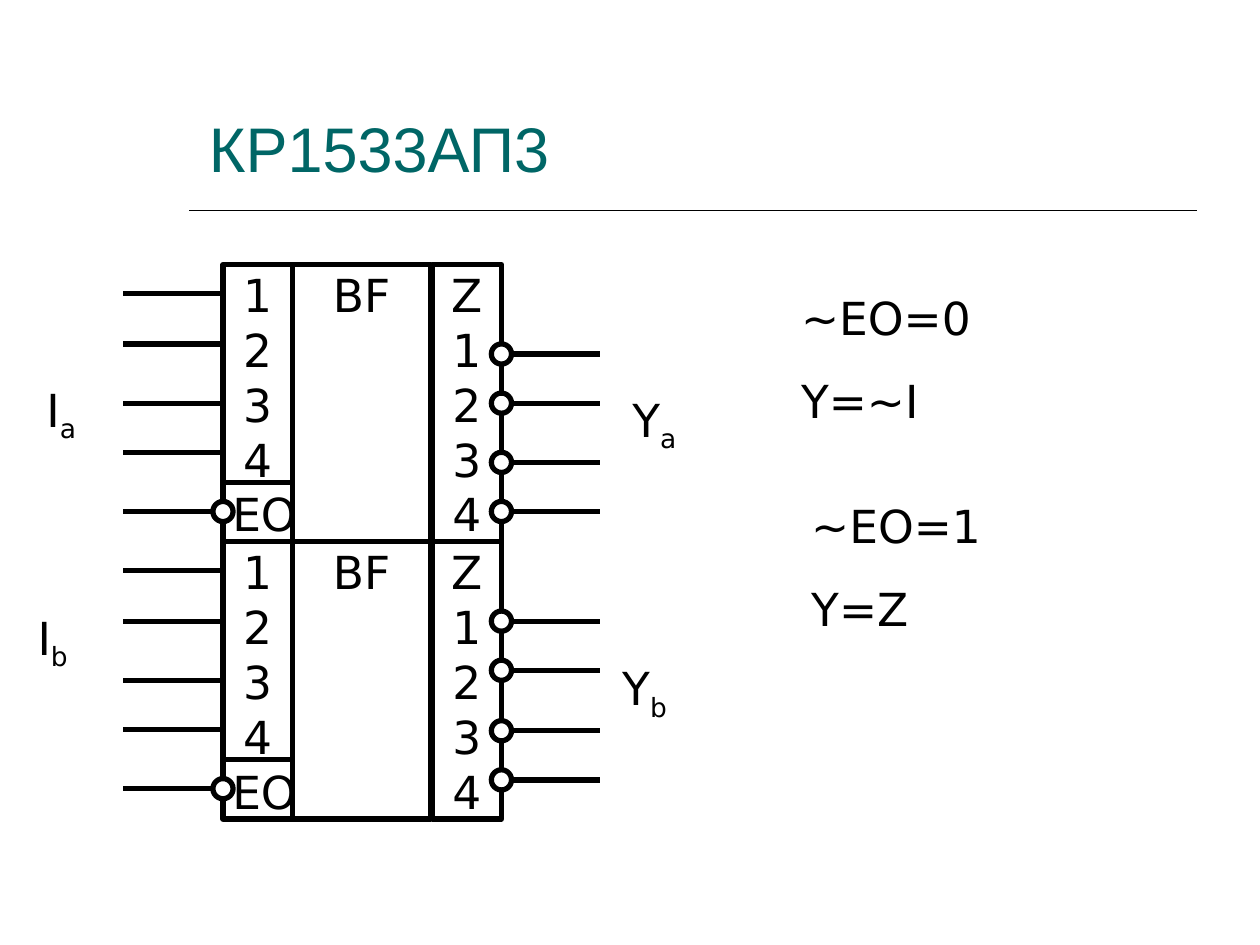
from lxml.etree import SubElement
from pptx import Presentation
from pptx.dml.color import RGBColor
from pptx.enum.shapes import MSO_CONNECTOR, MSO_SHAPE
from pptx.enum.text import MSO_ANCHOR, PP_ALIGN
from pptx.oxml.ns import qn
from pptx.util import Inches, Pt

COLORS = {"title": "006666", "ink": "000000", "paper": "FFFFFF"}
BODY_FONT = "DejaVu Sans"
LINE_HEIGHT = Pt(31.3)

# Chip geometry in inches
CHIP_LEFT, CHIP_RIGHT = 1.77, 3.98
SIDE_WIDTH, MIDDLE_WIDTH = 0.55, 1.1
HALF_HEIGHT = 2.2
WIRE_LEFT, WIRE_RIGHT = 0.98, 4.76
BUBBLE = 0.16
INPUT_OFFSETS = [0.23, 0.63, 1.1, 1.49]
ENABLE_OFFSET = 1.96
ENABLE_DIVIDER = 1.73

# Top of each half and the heights of its output pins
HALVES = [
    (2.1, [2.81, 3.2, 3.67, 4.06]),
    (4.3, [4.93, 5.32, 5.8, 6.19]),
]


def color(name):
    return RGBColor.from_string(COLORS[name])


def style_run(run, size=26, font=BODY_FONT, ink="ink"):
    run.font.size = Pt(size)
    run.font.name = font
    run.font.color.rgb = color(ink)


def add_line(slide, x1, y1, x2, y2, width=3):
    line = slide.shapes.add_connector(
        MSO_CONNECTOR.STRAIGHT, Inches(x1), Inches(y1), Inches(x2), Inches(y2))
    line.line.color.rgb = color("ink")
    line.line.width = Pt(width)
    SubElement(line._element.spPr, qn("a:effectLst"))


def add_outlined(slide, preset, left, top, width, height):
    shape = slide.shapes.add_shape(
        preset, Inches(left), Inches(top), Inches(width), Inches(height))
    shape.shadow.inherit = False
    shape.fill.solid()
    shape.fill.fore_color.rgb = color("paper")
    shape.line.color.rgb = color("ink")
    shape.line.width = Pt(3)
    return shape


def add_bubble(slide, x, y):
    add_outlined(slide, MSO_SHAPE.OVAL, x - BUBBLE / 2, y - BUBBLE / 2, BUBBLE, BUBBLE)


def add_column(slide, left, top, width, labels):
    column = add_outlined(slide, MSO_SHAPE.RECTANGLE, left, top, width, HALF_HEIGHT)
    text_frame = column.text_frame
    text_frame.word_wrap = False
    text_frame.vertical_anchor = MSO_ANCHOR.TOP
    text_frame.margin_top = Inches(0.02)
    text_frame.text = "\n".join(labels)
    for paragraph in text_frame.paragraphs:
        paragraph.alignment = PP_ALIGN.CENTER
        paragraph.line_spacing = LINE_HEIGHT
        style_run(paragraph.runs[0])
        # The enable label sits clear of its inversion bubble
        if paragraph.text == "EO":
            paragraph._p.get_or_add_pPr().set("marL", str(Inches(0.11)))


def add_text_box(slide, left, top, width, height):
    box = slide.shapes.add_textbox(
        Inches(left), Inches(top), Inches(width), Inches(height))
    box.text_frame.word_wrap = True
    return box.text_frame


def add_title(slide, text):
    text_frame = add_text_box(slide, 1.56, 0.39, 7.88, 1.13)
    text_frame.vertical_anchor = MSO_ANCHOR.BOTTOM
    text_frame.text = text
    style_run(text_frame.paragraphs[0].runs[0], 36, "Arial", "title")


def add_bus_label(slide, left, top, letter, subscript):
    text_frame = add_text_box(slide, left, top, 0.94, 0.6)
    paragraph = text_frame.paragraphs[0]
    paragraph.line_spacing = LINE_HEIGHT
    for text in (letter, subscript):
        run = paragraph.add_run()
        run.text = text
        style_run(run)
    run.font._element.set("baseline", "-25000")


def add_equations(slide, left, top, lines):
    text_frame = add_text_box(slide, left, top, 1.97, 1.19)
    text_frame.text = "\n".join(lines)
    for index, paragraph in enumerate(text_frame.paragraphs):
        paragraph.line_spacing = LINE_HEIGHT
        if index:
            paragraph.space_before = Pt(16.2)
        style_run(paragraph.runs[0])


def add_chip_half(slide, top, outputs):
    # Columns of the symbol
    middle_left = CHIP_LEFT + SIDE_WIDTH
    add_column(slide, CHIP_LEFT, top, SIDE_WIDTH, ["1", "2", "3", "4", "EO"])
    add_column(slide, CHIP_RIGHT - SIDE_WIDTH, top, SIDE_WIDTH, ["Z", "1", "2", "3", "4"])
    add_column(slide, middle_left, top, MIDDLE_WIDTH, ["BF"])
    divider = top + ENABLE_DIVIDER
    add_line(slide, CHIP_LEFT, divider, middle_left, divider)

    # Inputs and the inverted enable pin
    for offset in INPUT_OFFSETS:
        add_line(slide, WIRE_LEFT, top + offset, CHIP_LEFT, top + offset)
    enable = top + ENABLE_OFFSET
    add_line(slide, WIRE_LEFT, enable, CHIP_LEFT - BUBBLE / 2, enable)
    add_bubble(slide, CHIP_LEFT, enable)

    # Inverted outputs
    for y in outputs:
        add_line(slide, CHIP_RIGHT, y, WIRE_RIGHT, y)
        add_bubble(slide, CHIP_RIGHT, y)


def main():
    presentation = Presentation()
    presentation.slide_width = Inches(10)
    presentation.slide_height = Inches(7.5)
    slide = presentation.slides.add_slide(presentation.slide_layouts[6])

    # Heading
    add_line(slide, 1.5, 1.67, 9.5, 1.67, width=1)
    add_title(slide, "КР1533АП3")

    # Chip symbol
    for top, outputs in HALVES:
        add_chip_half(slide, top, outputs)

    # Bus names
    add_bus_label(slide, 0.27, 3.04, "I", "a")
    add_bus_label(slide, 0.2, 4.85, "I", "b")
    add_bus_label(slide, 4.92, 3.12, "Y", "a")
    add_bus_label(slide, 4.84, 5.25, "Y", "b")

    # Operating modes
    add_equations(slide, 6.26, 2.25, ["~EO=0", "Y=~I"])
    add_equations(slide, 6.34, 3.9, ["~EO=1", "Y=Z"])

    presentation.save("out.pptx")


if __name__ == "__main__":
    main()
